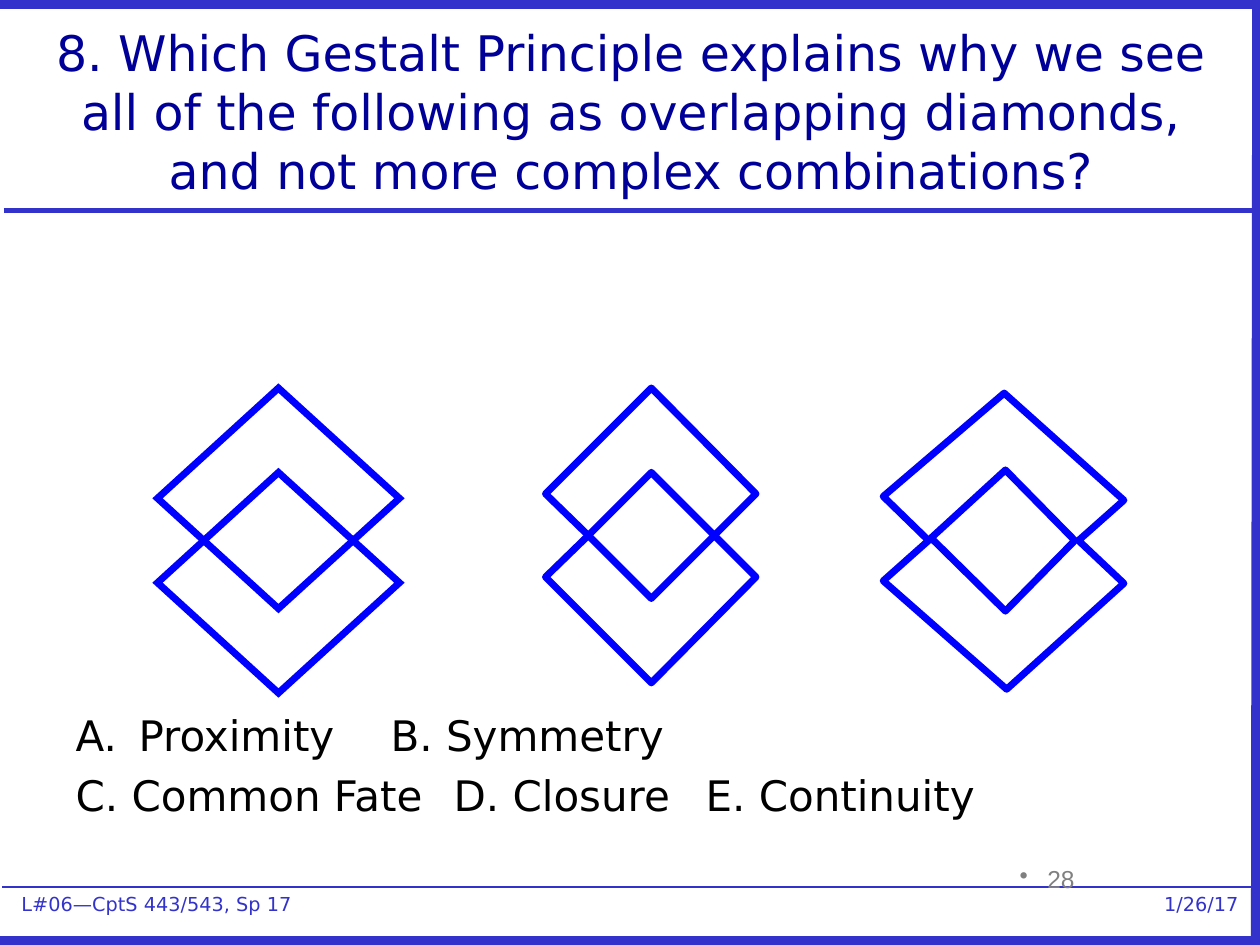
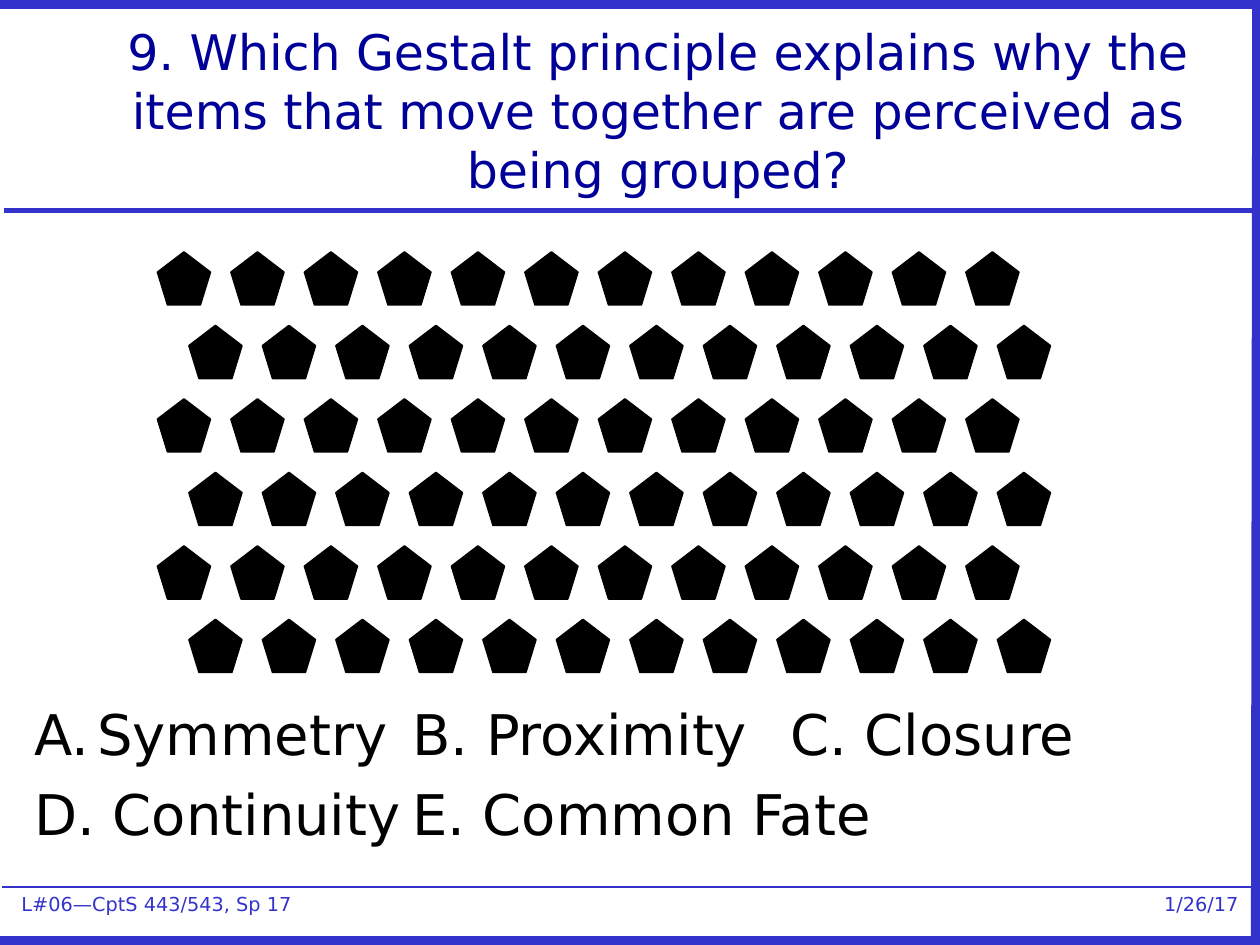
from dataclasses import dataclass

from lxml import etree
from pptx import Presentation
from pptx import util as u
from pptx.dml.color import RGBColor
from pptx.enum import shapes, text
from pptx.oxml import ns


@dataclass(frozen=True)
class Theme:
    font: str = "DejaVu Sans"
    number_font: str = "Arial"
    paper: str = "FFFFFF"
    ink: str = "000000"
    title: str = "000099"
    frame: str = "3333CC"
    outline: str = "0000FF"
    muted: str = "808080"
    title_size: int = 28
    footer_size: int = 11
    number_size: int = 14
    outline_width: int = 4


THEME = Theme()
ALIGN = text.PP_ALIGN
FRAME_LINES = [
    ((0.03, 1.67), (9.97, 1.67), 3),
    ((-0.01, 0.03), (9.98, 0.03), 6),
    ((-0.01, 7.47), (9.98, 7.47), 6),
    ((9.97, 7.51), (9.98, 0), 6),
    ((0.02, 7.04), (9.95, 7.04), 1),
]
FOOTERS = [
    ("L#06—CptS 443/543, Sp 17", (0.17, 7.08, 2.5, 0.18), ALIGN.LEFT),
    ("1/26/17", (7.5, 7.08, 2.33, 0.18), ALIGN.RIGHT),
]


def inches(values):
    return [u.Inches(value) for value in values]


def color(value):
    return RGBColor.from_string(value)


def add_child(parent, tag, **attributes):
    return etree.SubElement(parent, ns.qn(tag), attributes)


def add_span(para, words, size, ink, font=THEME.font):
    span = para.add_run()
    span.text = words
    span.font.size = u.Pt(size)
    span.font.name = font
    span.font.color.rgb = color(ink)


def place(box, area):
    box.left, box.top, box.width, box.height = inches(area)
    box.text_frame.word_wrap = True
    box.text_frame.auto_size = text.MSO_AUTO_SIZE.NONE


def add_line(page, start, end, width):
    line = page.shapes.add_connector(
        shapes.MSO_CONNECTOR.STRAIGHT, *inches(start + end))
    line.line.color.rgb = color(THEME.frame)
    line.line.width = u.Pt(width)
    add_child(line.element.spPr, "a:effectLst")


def add_footer(page, words, area, align):
    box = page.shapes.add_shape(shapes.MSO_SHAPE.RECTANGLE, *inches(area))
    box.shadow.inherit = False
    box.fill.solid()
    box.fill.fore_color.rgb = color(THEME.paper)
    box.line.fill.background()
    frame = box.text_frame
    frame.margin_left = frame.margin_right = 0
    frame.margin_top = frame.margin_bottom = 0
    para = frame.paragraphs[0]
    para.alignment = align
    add_span(para, words, THEME.footer_size, THEME.frame)


def add_question_page(deck, question, title_area):
    page = deck.slides.add_slide(deck.slide_layouts[1])
    for words, area, align in FOOTERS:
        add_footer(page, words, area, align)
    for start, end, width in FRAME_LINES:
        add_line(page, start, end, width)
    title = page.shapes.title
    place(title, title_area)
    title.text_frame.vertical_anchor = text.MSO_ANCHOR.MIDDLE
    para = title.text_frame.paragraphs[0]
    para.alignment = ALIGN.CENTER
    add_span(para, question, THEME.title_size, THEME.title)
    return page


def add_answers(page, rows, area, size, stops):
    body = page.placeholders[1]
    place(body, area)
    frame = body.text_frame
    for index, row in enumerate(rows):
        para = frame.add_paragraph() if index else frame.paragraphs[0]
        para.space_before = u.Pt(round(size * 0.23, 1) if index else 0)
        properties = para._p.get_or_add_pPr()
        properties.set("marL", "0")
        properties.set("indent", "0")
        add_child(properties, "a:buNone")
        tabs = add_child(properties, "a:tabLst")
        for stop in stops:
            add_child(tabs, "a:tab", pos=str(u.Inches(stop)), algn="l")
        add_span(para, row, size, THEME.ink)


def add_page_number(page, number):
    box = page.shapes.add_textbox(*inches((7.27, 6.81, 2.08, 0.5)))
    box.text_frame.word_wrap = True
    para = box.text_frame.paragraphs[0]
    para.alignment = ALIGN.CENTER
    properties = para._p.get_or_add_pPr()
    properties.set("marL", str(u.Inches(0.22)))
    properties.set("indent", str(-u.Inches(0.22)))
    add_child(properties, "a:buChar", char="•")
    add_span(para, number, THEME.number_size, THEME.muted, THEME.number_font)


def outline(shape, join, **attributes):
    shape.shadow.inherit = False
    shape.fill.background()
    shape.line.color.rgb = color(THEME.outline)
    shape.line.width = u.Pt(THEME.outline_width)
    add_child(shape.line._get_or_add_ln(), join, **attributes)


def add_diamond(page, top):
    diamond = page.shapes.add_shape(
        shapes.MSO_SHAPE.DIAMOND, *inches((1.25, top, 1.92, 1.75)))
    outline(diamond, "a:miter", lim="800000")


def add_polygon(page, points):
    corners = [inches(point) for point in points]
    builder = page.shapes.build_freeform(*corners[0])
    builder.add_line_segments(corners[1:], close=True)
    outline(builder.convert_to_shape(), "a:round")


def add_chevron(page, direction):
    middle = 4.25
    offsets = [(4.33, 0.33), (5.17, 1.17), (6, 0.33),
               (5.67, 0), (5.17, 0.5), (4.67, 0)]
    add_polygon(page, [(x, middle + direction * y) for x, y in offsets])


def add_pentagon_grid(page, rows=6, columns=12, pitch=7 / 12, shift=0.25):
    for row in range(rows):
        for column in range(columns):
            left = 1.25 + column * pitch + row % 2 * shift
            pentagon = page.shapes.add_shape(
                shapes.MSO_SHAPE.REGULAR_PENTAGON,
                *inches((left, 2 + row * pitch, 0.42, 0.42)))
            pentagon.shadow.inherit = False
            pentagon.fill.solid()
            pentagon.fill.fore_color.rgb = color(THEME.ink)
            pentagon.line.color.rgb = color(THEME.ink)
            pentagon.line.width = u.Pt(1)


def build_diamonds_page(deck):
    page = add_question_page(
        deck,
        "8. Which Gestalt Principle explains why we see all of the following "
        "as overlapping diamonds, and not more complex combinations?",
        (0.17, 0.17, 9.67, 1.42))
    add_page_number(page, "28")
    add_answers(
        page,
        ["A.\tProximity\tB. Symmetry",
         "C. Common Fate\tD. Closure\tE. Continuity"],
        (0.5, 5.58, 9.25, 1.33), 24, (0.56, 3, 5))
    for top in (3.75, 3.08):
        add_diamond(page, top)
    for direction in (-1, 1):
        add_chevron(page, direction)
    add_polygon(page, [(7.97, 3.12), (8.92, 3.97), (8.56, 4.29), (8.92, 4.63),
                       (7.99, 5.47), (7.01, 4.61), (7.37, 4.29), (7.01, 3.94)])
    add_polygon(page, [(7.39, 4.27), (7.98, 3.73), (8.53, 4.29), (7.98, 4.85)])


def build_pentagons_page(deck):
    page = add_question_page(
        deck,
        "9. Which Gestalt principle explains why the items that move together "
        "are perceived as being grouped?",
        (0.44, 0.25, 9.56, 1.25))
    add_answers(
        page,
        ["A.\tSymmetry\tB. Proximity\tC. Closure",
         "D. Continuity\tE. Common Fate"],
        (0.17, 5.5, 9.67, 1.42), 32, (0.56, 4, 7))
    add_pentagon_grid(page)


def main():
    deck = Presentation()
    deck.slide_width, deck.slide_height = inches((10, 7.5))
    build_diamonds_page(deck)
    build_pentagons_page(deck)
    deck.save("out.pptx")


if __name__ == "__main__":
    main()
